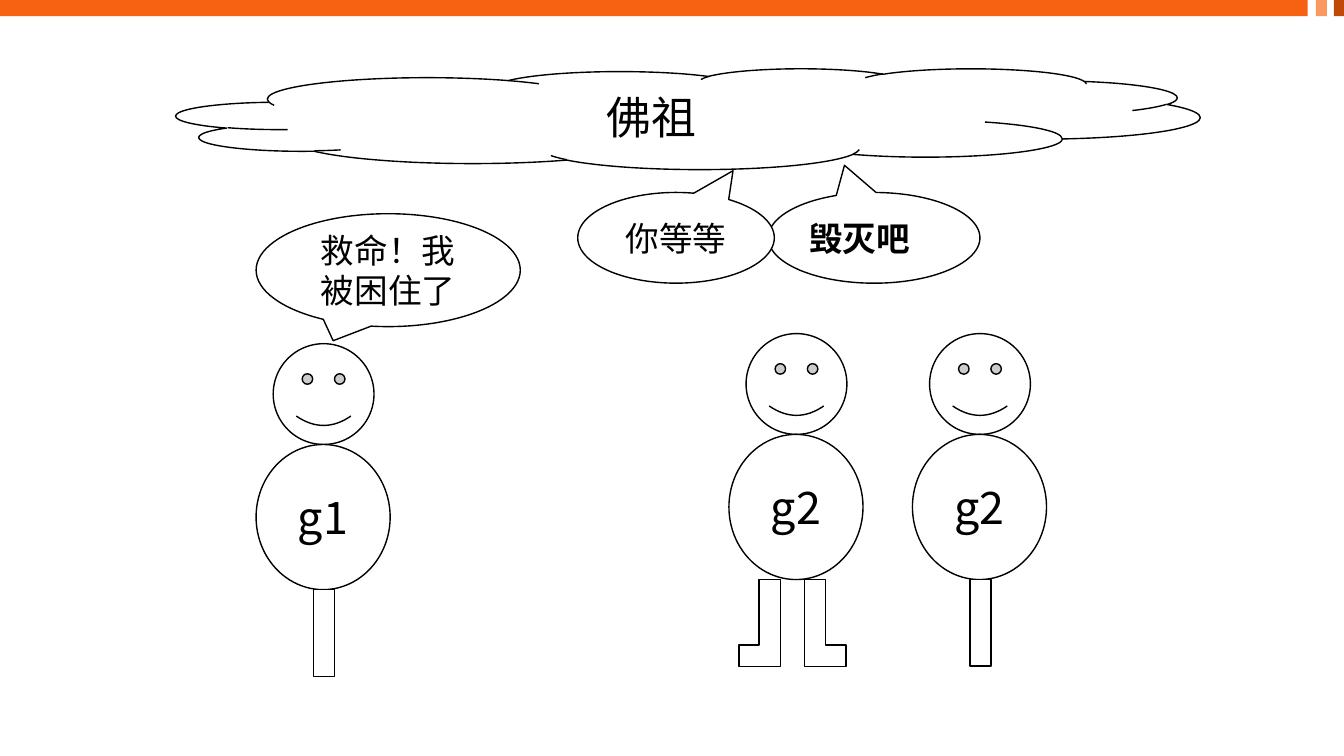
from dataclasses import dataclass

from pptx import Presentation
from pptx.dml.color import RGBColor
from pptx.enum.shapes import MSO_SHAPE as Preset
from pptx.enum.text import MSO_ANCHOR as Anchor, PP_ALIGN as Align
from pptx.oxml.ns import qn
from pptx.util import Inches, Pt


@dataclass(frozen=True)
class Theme:
    font: str = "Noto Sans CJK SC"
    label_size: int = 32
    speech_size: int = 24
    ink: str = "000000"
    paper: str = "FFFFFF"
    bar: str = "F76212"
    bar_light: str = "FA9862"
    bar_dark: str = "C14907"


THEME = Theme()


def paint(shape, fill=THEME.paper, outlined=True):
    shape.shadow.inherit = False
    shape.fill.solid()
    shape.fill.fore_color.rgb = RGBColor.from_string(fill)
    if outlined:
        shape.line.color.rgb = RGBColor.from_string(THEME.ink)
        shape.line.width = Pt(1)
    else:
        shape.line.fill.background()


def add_preset(shapes, preset, box, adjustments=(), **paint_format):
    shape = shapes.add_shape(preset, *(Inches(length) for length in box))
    paint(shape, **paint_format)
    for index, value in enumerate(adjustments):
        shape.adjustments[index] = value
    return shape


def write(shape, text, size, bold=False, align=Align.CENTER):
    frame = shape.text_frame
    frame.word_wrap = True
    frame.vertical_anchor = Anchor.MIDDLE
    paragraph = frame.paragraphs[0]
    paragraph.alignment = align
    run = paragraph.add_run()
    run.text = text
    for name, value in {"name": THEME.font, "size": Pt(size), "bold": bold}.items():
        setattr(run.font, name, value)
    run.font.color.rgb = RGBColor.from_string(THEME.ink)
    # Chinese text takes its typeface from the East Asian font
    east_asian = run.font._element.makeelement(qn("a:ea"), {"typeface": THEME.font})
    run.font._element.append(east_asian)


def add_top_bar(slide, height=0.16):
    for left, width, color in (
        (0, 12.97, THEME.bar),
        (13.05, 0.11, THEME.bar_light),
        (13.23, 0.11, THEME.bar_dark),
    ):
        add_preset(slide.shapes, Preset.RECTANGLE, (left, 0, width, height),
                   fill=color, outlined=False)


def add_cloud(slide, box, text):
    write(add_preset(slide.shapes, Preset.CLOUD, box), text, THEME.label_size)


def add_speech(slide, box, text, pointer=(), **text_format):
    bubble = add_preset(slide.shapes, Preset.OVAL_CALLOUT, box, pointer)
    write(bubble, text, THEME.speech_size, **text_format)


def add_bent_leg(shapes, heel, top, height, direction):
    """Draw an L whose foot points right (direction 1) or left (-1)."""
    bottom, thickness = top + height, 0.21
    shin, toe = heel + direction * thickness, heel + direction * 0.41
    instep = bottom - thickness
    outline = [(heel, top), (shin, top), (shin, instep),
               (toe, instep), (toe, bottom), (heel, bottom)]
    points = [(Inches(x), Inches(y)) for x, y in outline]
    builder = shapes.build_freeform(*points[0])
    builder.add_line_segments(points[1:], close=True)
    paint(builder.convert_to_shape())


def add_figure(slide, left, top, name, two_legs=False):
    shapes = slide.shapes.add_group_shape().shapes
    # Head and body
    add_preset(shapes, Preset.SMILEY_FACE, (left + 0.17, top, 1, 1))
    body = add_preset(shapes, Preset.OVAL, (left, top + 1, 1.33, 1.44))
    write(body, name, THEME.label_size)
    # Legs: a pair with feet turned outwards, or a single straight one
    leg_top, leg_height = top + 2.44, 0.86
    if two_legs:
        for heel, direction in ((0.75, 1), (0.51, -1)):
            add_bent_leg(shapes, left + heel, leg_top, leg_height, direction)
    else:
        add_preset(shapes, Preset.RECTANGLE, (left + 0.57, leg_top, 0.21, leg_height))


def main():
    presentation = Presentation()
    presentation.slide_width = Inches(13.33)
    presentation.slide_height = Inches(7.5)
    slide = presentation.slides.add_slide(presentation.slide_layouts[6])

    add_top_bar(slide)

    # Trapped figure and its call for help
    add_figure(slide, 2.54, 3.41, "g1")
    add_speech(slide, (2.54, 2.12, 2.62, 1.12), "救命！我被困住了")

    # Figures on the right
    add_figure(slide, 7.23, 3.31, "g2", two_legs=True)
    add_figure(slide, 9.05, 3.31, "g2")

    # Cloud and its two replies
    add_cloud(slide, (1.75, 0.68, 10.15, 1), "佛祖")
    add_speech(slide, (7.62, 1.91, 2.1, 0.9), "毁灭吧", (-0.14, -0.8),
               bold=True, align=Align.LEFT)
    add_speech(slide, (5.73, 1.91, 1.95, 0.9), "你等等", (0.29, -0.74))

    presentation.save("out.pptx")


if __name__ == "__main__":
    main()
